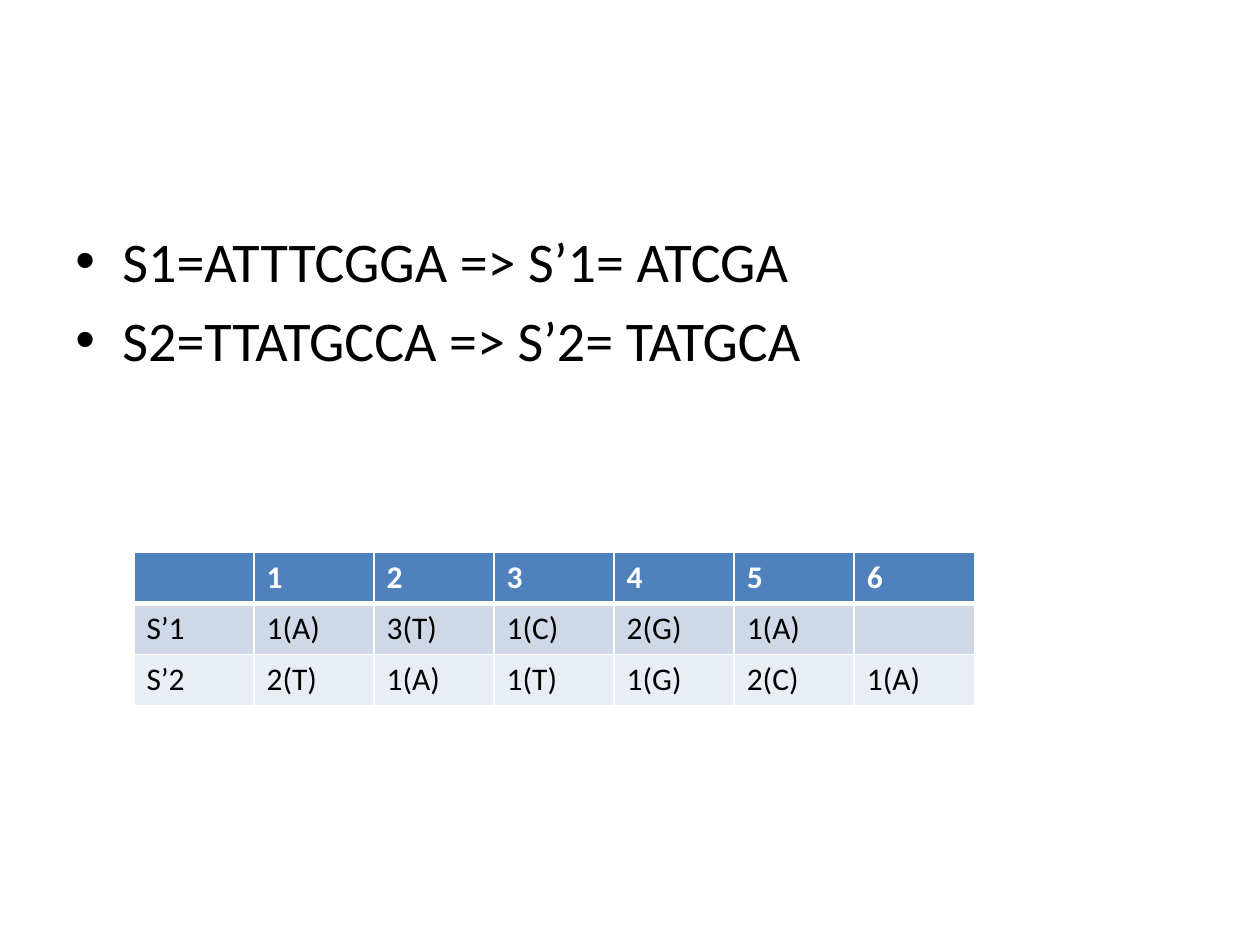
from lxml import etree
from pptx import Presentation
from pptx.dml.color import RGBColor
from pptx.oxml.ns import qn
from pptx.util import Cm, Pt

FONT = "Calibri"
COLORS = {
    "text": "000000",
    "header_text": "FFFFFF",
    "border": "FFFFFF",
    "header": "4F81BD",
    "odd_row": "D0D8E8",
    "even_row": "E9EDF4",
}
SEQUENCES = ["S1=ATTTCGGA => S’1= ATCGA", "S2=TTATGCCA => S’2= TATGCA"]
RUN_LENGTHS = [
    ["", "1", "2", "3", "4", "5", "6"],
    ["S’1", "1(A)", "3(T)", "1(C)", "2(G)", "1(A)", ""],
    ["S’2", "2(T)", "1(A)", "1(T)", "1(G)", "2(C)", "1(A)"],
]


def color(name):
    return RGBColor.from_string(COLORS[name])


def write(paragraph, text, text_color, **font_values):
    run = paragraph.add_run()
    run.text = text
    for attribute, value in {"name": FONT, **font_values}.items():
        setattr(run.font, attribute, value)
    run.font.color.rgb = color(text_color)


def add_bullet(paragraph, indent):
    properties = paragraph._p.get_or_add_pPr()
    properties.set("marL", str(indent))
    properties.set("indent", str(-indent))
    etree.SubElement(properties, qn("a:buFont"), typeface="Arial")
    etree.SubElement(properties, qn("a:buChar"), char="•")


def add_sequences(slide, left, top, width, height):
    frame = slide.shapes.add_textbox(left, top, width, height).text_frame
    frame.word_wrap = True
    for index, sequence in enumerate(SEQUENCES):
        paragraph = frame.add_paragraph() if index else frame.paragraphs[0]
        add_bullet(paragraph, Cm(0.95))
        if index:
            paragraph.space_before = Pt(6.4)
        write(paragraph, sequence, "text", size=Pt(32))


def add_borders(cell, top, bottom):
    properties = cell._tc.get_or_add_tcPr()
    widths = {"a:lnL": 1, "a:lnR": 1, "a:lnT": top, "a:lnB": bottom}
    for side, width in widths.items():
        line = etree.SubElement(properties, qn(side), w=str(Pt(width)))
        fill = etree.SubElement(line, qn("a:solidFill"))
        etree.SubElement(fill, qn("a:srgbClr"), val=COLORS["border"])


def add_run_length_table(slide, left, top, width, height):
    row_count, column_count = len(RUN_LENGTHS), len(RUN_LENGTHS[0])
    table = slide.shapes.add_table(
        row_count, column_count, left, top, width, height).table
    row_fills = ["header", "odd_row", "even_row"]
    for row, (values, row_fill) in enumerate(zip(RUN_LENGTHS, row_fills)):
        is_header = row == 0
        for column, value in enumerate(values):
            cell = table.cell(row, column)
            add_borders(cell, top=3 if row == 1 else 1,
                        bottom=3 if is_header else 1)
            cell.fill.solid()
            cell.fill.fore_color.rgb = color(row_fill)
            if value:
                write(cell.text_frame.paragraphs[0], value,
                      "header_text" if is_header else "text",
                      size=Pt(18), bold=is_header)


def main():
    presentation = Presentation()
    presentation.slide_width = Cm(25.4)
    presentation.slide_height = Cm(19.05)
    slide = presentation.slides.add_slide(presentation.slide_layouts[6])
    add_sequences(slide, Cm(1.27), Cm(4.45), Cm(22.86), Cm(12.57))
    add_run_length_table(slide, Cm(2.7), Cm(11.13), Cm(16.94), Cm(3.09))
    presentation.save("out.pptx")


if __name__ == "__main__":
    main()
